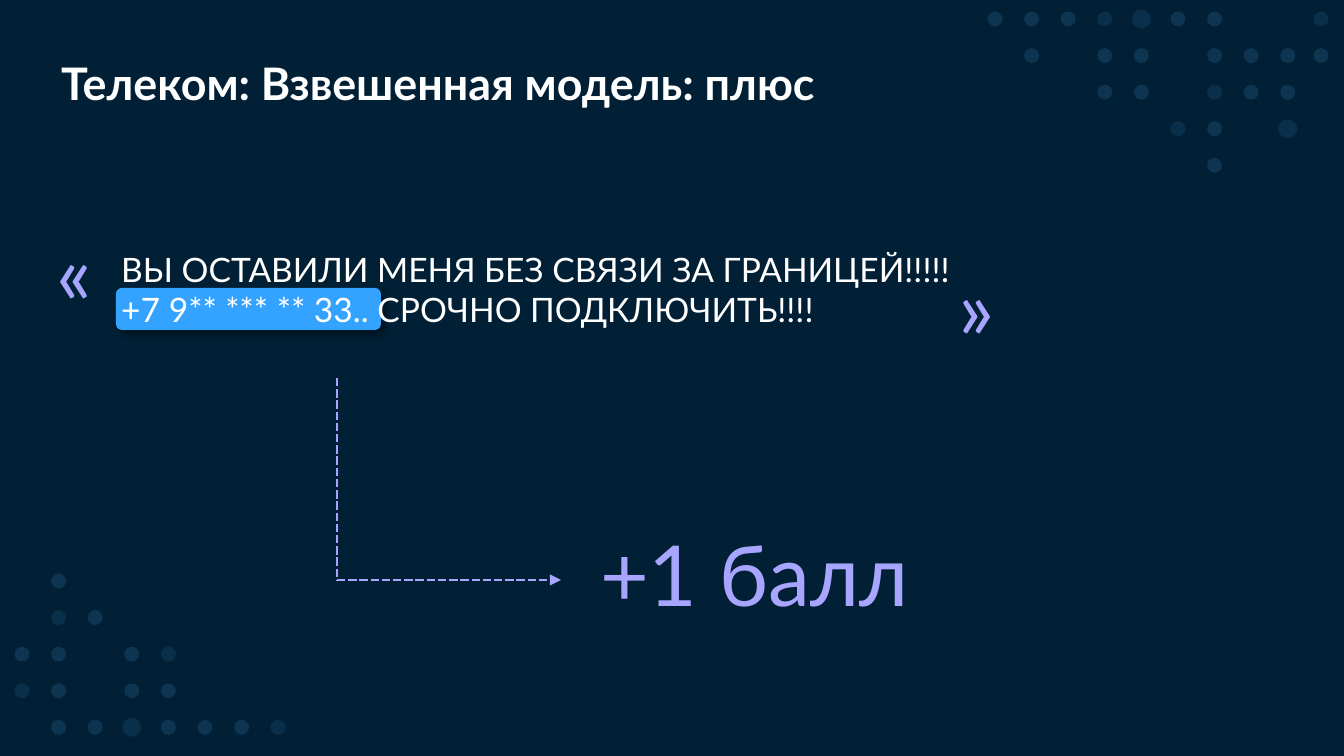
import lxml.etree
import pptx
import pptx.dml.color
import pptx.enum.dml
import pptx.enum.shapes
import pptx.enum.text
import pptx.oxml.ns
import pptx.util

SCALE = 914400 / 134.4
DOT_PITCH = 36.6
NIGHT, WHITE, LILAC, BLUE, DOT_BLUE = "012036", "FFFFFF", "A7A5FF", "33A3FF", "5CB5FF"
DOT_STYLES = {"o": (15, 14), ".": (15, 10), "O": (19, 10)}
TOP_DOTS = ["ooo.Ooo", " o oo ooo", "   oo .oo", "     .o O", "      o"]
EDGE_DOTS = [".", "o"]
BOTTOM_DOTS = [" o", " .o", "oo o.", ".o oo", " ooOooo."]


def px(n):
    """Turn pixels into EMU."""
    return pptx.util.Emu(round(n * SCALE))


def color(value):
    """Turn a hex string into a colour."""
    return pptx.dml.color.RGBColor.from_string(value)


def sub(parent, tag, **attrs):
    """Append a DrawingML child element and return it."""
    return lxml.etree.SubElement(parent, pptx.oxml.ns.qn(tag), **attrs)


def add_filled(s, kind, box, fill):
    """Add a preset shape with a solid fill, no line and no shadow."""
    sp = s.shapes.add_shape(kind, *map(px, box))
    sp.shadow.inherit = False
    sp.fill.solid()
    sp.fill.fore_color.rgb = color(fill)
    sp.line.fill.background()
    return sp


def add_dots(s, x, y, rows):
    """Draw a pattern of translucent dots, the first centred on x, y."""
    for j, row in enumerate(rows):
        for i, mark in enumerate(row):
            if mark not in DOT_STYLES:
                continue
            size, opacity = DOT_STYLES[mark]
            left = x + i * DOT_PITCH - size / 2
            top = y + j * DOT_PITCH - size / 2
            sp = add_filled(s, pptx.enum.shapes.MSO_SHAPE.OVAL, (left, top, size, size), DOT_BLUE)
            rgb = sp.fill._xPr.find(".//" + pptx.oxml.ns.qn("a:srgbClr"))
            sub(rgb, "a:alpha", val=str(opacity * 1000))


def add_highlight(s, box):
    """Add the rounded highlight with a soft shadow."""
    sp = add_filled(s, pptx.enum.shapes.MSO_SHAPE.ROUNDED_RECTANGLE, box, BLUE)
    sp.adjustments[0] = 0.14
    effects = sp._element.spPr.find(pptx.oxml.ns.qn("a:effectLst"))
    shadow = sub(effects, "a:outerShdw", blurRad=str(pptx.util.Pt(4)), dist=str(pptx.util.Pt(3)),
                 dir="2700000", algn="tl", rotWithShape="0")
    sub(sub(shadow, "a:srgbClr", val="000000"), "a:alpha", val="40000")


def add_text(s, text, box, size=18, fill=WHITE, bold=False, middle=False):
    """Add a text box; a vertical tab in the text breaks the line."""
    tf = s.shapes.add_textbox(*map(px, box)).text_frame
    tf.word_wrap = True
    if middle:
        tf.vertical_anchor = pptx.enum.text.MSO_ANCHOR.MIDDLE
    else:
        tf.auto_size = pptx.enum.text.MSO_AUTO_SIZE.SHAPE_TO_FIT_TEXT
    p = tf.paragraphs[0]
    p.text = text
    for r in p.runs:
        r.font.name = "Lato"
        r.font.size = pptx.util.Pt(size)
        r.font.bold = bold
        r.font.color.rgb = color(fill)


def add_dashed_line(s, start, end, arrow=False):
    """Add a dashed connector, with an arrowhead at its end if asked."""
    kind = pptx.enum.shapes.MSO_CONNECTOR.STRAIGHT
    line = s.shapes.add_connector(kind, *map(px, start + end))
    line.line.color.rgb = color(LILAC)
    line.line.width = pptx.util.Pt(1.5)
    line.line.dash_style = pptx.enum.dml.MSO_LINE.SQUARE_DOT
    ln = line.line._get_or_add_ln()
    ln.find(pptx.oxml.ns.qn("a:prstDash")).set("val", "sysDash")
    if arrow:
        sub(ln, "a:tailEnd", type="triangle")
    sub(line._element.spPr, "a:effectLst")


def main():
    """Build the slide and save it."""
    prs = pptx.Presentation()
    prs.slide_width, prs.slide_height = px(1344), px(756)
    s = prs.slides.add_slide(prs.slide_layouts[6])
    s.background.fill.solid()
    s.background.fill.fore_color.rgb = color(NIGHT)

    add_dots(s, 995, 19, TOP_DOTS)
    add_dots(s, 1321, 19, EDGE_DOTS)
    add_dots(s, 22, 581, BOTTOM_DOTS)

    add_highlight(s, (116, 288, 265, 42))
    add_text(s, "Телеком: Взвешенная модель: плюс", (48, 38, 1261, 90), size=24, bold=True, middle=True)
    add_text(s, "«", (43, 214, 51, 116), size=45, fill=LILAC)
    add_text(s, "»", (945, 249, 75, 116), size=45, fill=LILAC)
    add_text(s, "+1 балл", (587, 516, 548, 116), size=45, fill=LILAC)

    corner = (337, 580)
    add_dashed_line(s, (337, 378), corner)
    add_dashed_line(s, corner, (561, 580), arrow=True)
    add_text(s, "ВЫ ОСТАВИЛИ МЕНЯ БЕЗ СВЯЗИ ЗА ГРАНИЦЕЙ!!!!! \v+7 9** *** ** 33.. СРОЧНО ПОДКЛЮЧИТЬ!!!!",
             (108, 242, 991, 95))
    prs.save("out.pptx")


if __name__ == "__main__":
    main()
